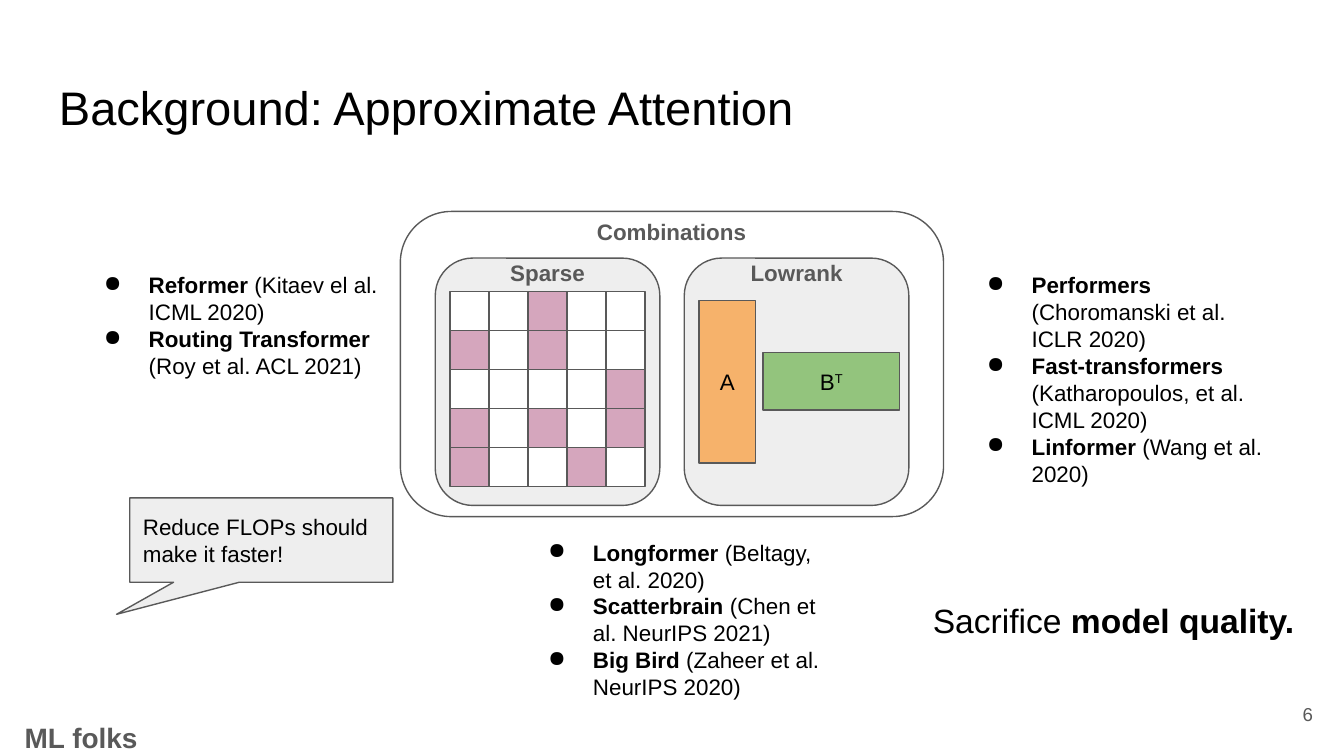
import pptx
import pptx.dml.color
import pptx.enum.shapes
import pptx.enum.text
import pptx.oxml
import pptx.oxml.ns
import pptx.util
from lxml import etree

Pt = pptx.util.Pt
SHAPE = pptx.enum.shapes.MSO_SHAPE
ALIGN = pptx.enum.text.PP_ALIGN
ANCHOR = pptx.enum.text.MSO_ANCHOR

BLACK, GRAY, PALE, WHITE = "000000", "595959", "EEEEEE", "FFFFFF"
PINK, ORANGE, GREEN = "D5A6BD", "F6B26B", "93C47D"


def color(hex_text):
    return pptx.dml.color.RGBColor.from_string(hex_text)


class SlideBuilder:
    font_name = "Arial"
    inset = 7.2

    def __init__(self, page):
        self.page = page

    def shape(self, kind, at, fill, adjustments=(), parent=None):
        owner = parent or self.page
        shape = owner.shapes.add_shape(kind, *map(Pt, at))
        shape.shadow.inherit = False
        shape.fill.solid()
        shape.fill.fore_color.rgb = color(fill)
        shape.line.color.rgb = color(GRAY)
        shape.line.width = Pt(0.75)
        for index, value in enumerate(adjustments):
            shape.adjustments[index] = value
        return shape

    def fill_text(self, box, paragraphs, size=12, ink=BLACK, align=ALIGN.CENTER,
                  anchor=ANCHOR.MIDDLE, bold=None, bullets=False):
        """Each paragraph is a list of (text, bold) pairs."""
        frame = box.text_frame
        frame.word_wrap = True
        frame.vertical_anchor = anchor
        frame.margin_left = frame.margin_right = Pt(self.inset)
        frame.margin_top = frame.margin_bottom = Pt(self.inset)
        for index, spans in enumerate(paragraphs):
            para = frame.add_paragraph() if index else frame.paragraphs[0]
            para.alignment = align
            if bullets:
                self.add_bullet(para)
            para.font.name = self.font_name
            para.font.size = Pt(size)
            para.font.color.rgb = color(ink)
            para.font.bold = bold
            for text, span_bold in spans:
                span = para.add_run()
                span.text = text
                if span_bold:
                    span.font.bold = True
        return frame

    def text(self, at, paragraphs, **style):
        box = self.page.shapes.add_textbox(*map(Pt, at))
        return self.fill_text(box, paragraphs, **style)

    def label(self, at, text, size=12, **style):
        return self.text(at, [[(text, False)]], size=size, ink=GRAY, **style)

    def papers(self, at, entries):
        paragraphs = [[(name, True), (f" ({source})", False)]
                      for name, source in entries]
        self.text(at, paragraphs, align=ALIGN.LEFT, anchor=ANCHOR.TOP,
                  bullets=True)

    def add_bullet(self, para):
        properties = para._p.get_or_add_pPr()
        properties.set("marL", str(Pt(36)))
        properties.set("indent", str(-Pt(24)))
        bullet = etree.SubElement(properties, pptx.oxml.ns.qn("a:buChar"))
        bullet.set("char", "●")

    def grid(self, left, top, cell, pattern):
        group = self.page.shapes.add_group_shape()
        for row, marks in enumerate(pattern):
            for column, mark in enumerate(marks):
                at = (left + column * cell, top + row * cell, cell, cell)
                self.shape(SHAPE.RECTANGLE, at, PINK if mark == "x" else WHITE,
                           parent=group)


def main():
    deck = pptx.Presentation()
    deck.slide_width, deck.slide_height = Pt(720), Pt(405)
    slide = SlideBuilder(deck.slides.add_slide(deck.slide_layouts[6]))

    # Title
    slide.text((24.5, 35, 671, 45), [[("Background: Approximate Attention", False)]],
               size=25.2, align=ALIGN.LEFT, anchor=ANCHOR.TOP)

    # Combinations frame with its two panels
    slide.shape(SHAPE.ROUNDED_RECTANGLE, (214.5, 113.3, 291, 163.5), WHITE, [0.167])
    slide.label((307.5, 116, 104.5, 16), "Combinations", bold=True)
    for left, name in ((233.2, "Sparse"), (366.6, "Lowrank")):
        slide.shape(SHAPE.ROUNDED_RECTANGLE, (left, 138.3, 120.3, 132.5), PALE, [0.167])
        slide.label((left + 7.9, 138.3, 104.5, 16), name, bold=True)

    # Sparse matrix
    slide.grid(241, 156.2, 20.9, ["--x--", "x-x--", "----x", "x-x-x", "x--x-"])

    # Low-rank factors
    factor_a = slide.shape(SHAPE.RECTANGLE, (374.5, 161, 30.3, 87), ORANGE)
    slide.fill_text(factor_a, [[("A", False)]])
    factor_b = slide.shape(SHAPE.RECTANGLE, (408.8, 188.8, 73, 31), GREEN)
    frame = slide.fill_text(factor_b, [[("B", False), ("T", False)]])
    transpose = frame.paragraphs[0].runs[1]
    transpose._r.get_or_add_rPr().set("baseline", "30000")

    # Papers for each family
    slide.papers((36.6, 138.3, 174, 73), [
        ("Reformer", "Kitaev el al. ICML 2020"),
        ("Routing Transformer", "Roy et al. ACL 2021"),
    ])
    slide.papers((509.6, 138.3, 174, 131), [
        ("Performers", "Choromanski et al. ICLR 2020"),
        ("Fast-transformers", "Katharopoulos, et al. ICML 2020"),
        ("Linformer", "Wang et al. 2020"),
    ])
    slide.papers((274.6, 281.5, 174, 102), [
        ("Longformer", "Beltagy, et al. 2020"),
        ("Scatterbrain", "Chen et al. NeurIPS 2021"),
        ("Big Bird", "Zaheer et al. NeurIPS 2020"),
    ])

    # Callout and its speaker
    callout = slide.shape(SHAPE.ROUNDED_RECTANGULAR_CALLOUT,
                          (69.5, 266.7, 141, 45.2), PALE, [-0.55, 0.88, 0])
    slide.fill_text(callout, [[("Reduce FLOPs should make it faster!", False)]],
                    align=ALIGN.LEFT)
    slide.label((0, 384, 87, 21.5), "ML folks", size=15, bold=True)

    # Conclusion and page number
    slide.text((490.3, 314, 212.5, 36),
               [[("Sacrifice ", False), ("model quality.", True)]], size=18)
    slide.label((667.2, 367.2, 43.2, 31), "6", size=10, align=ALIGN.RIGHT)

    deck.save("out.pptx")


if __name__ == "__main__":
    main()
